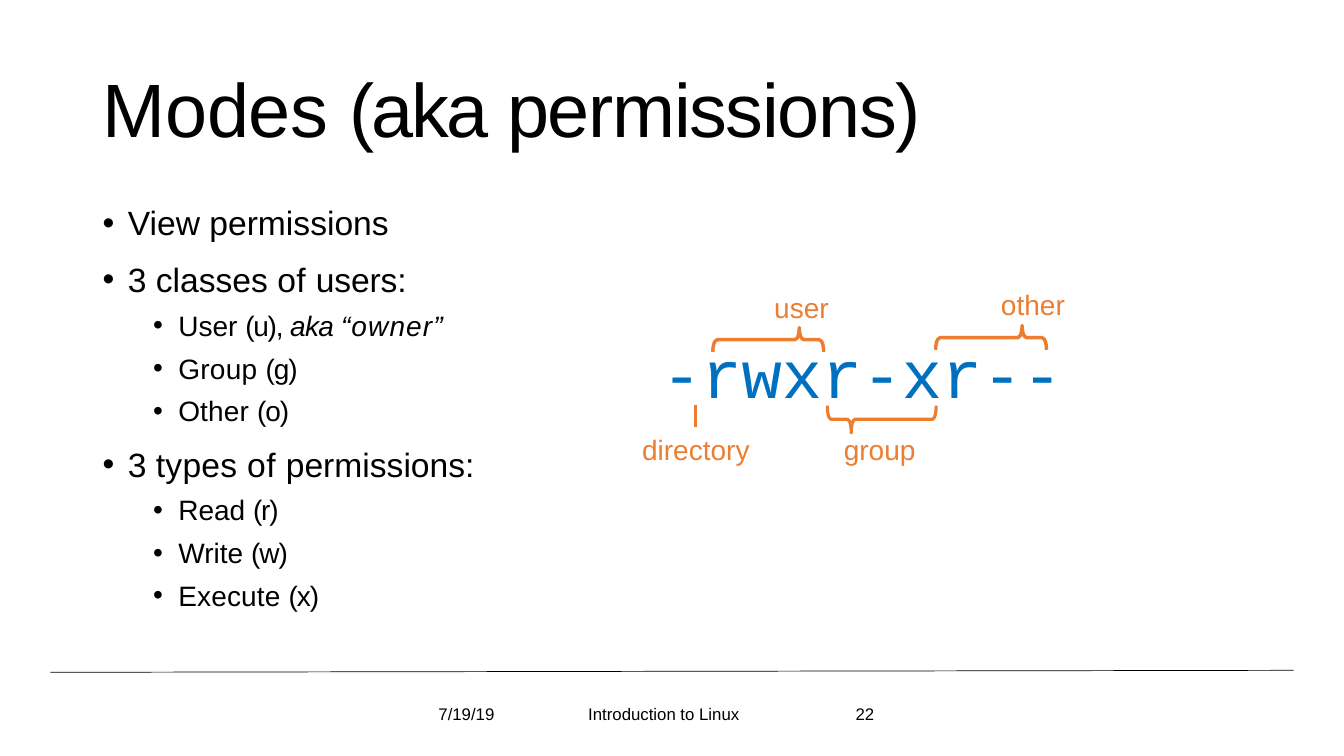
from lxml import etree
from pptx import Presentation
from pptx.dml.color import RGBColor
from pptx.enum.shapes import MSO_CONNECTOR, MSO_SHAPE
from pptx.enum.text import MSO_ANCHOR, PP_ALIGN
from pptx.oxml.ns import qn
from pptx.util import Pt

BLACK = RGBColor(0x00, 0x00, 0x00)
BLUE = RGBColor(0x00, 0x70, 0xC0)
ORANGE = RGBColor(0xED, 0x7D, 0x31)
STRAIGHT = MSO_CONNECTOR.STRAIGHT
RIGHT_BRACE = MSO_SHAPE.RIGHT_BRACE
TOP, MIDDLE = MSO_ANCHOR.TOP, MSO_ANCHOR.MIDDLE
LEFT, CENTER, RIGHT = PP_ALIGN.LEFT, PP_ALIGN.CENTER, PP_ALIGN.RIGHT

EMU_PER_PX = 9144


def px(length):
    return length * EMU_PER_PX


class SlideBuilder:
    font_name = "Arial"

    def __init__(self, slide):
        self.slide = slide

    def text_box(self, box, anchor=TOP, wrap=True):
        frame = self.slide.shapes.add_textbox(*map(px, box)).text_frame
        frame.word_wrap = wrap
        frame.vertical_anchor = anchor
        return frame

    def add_runs(self, paragraph, runs, **formats):
        for text, spacing, *italic in runs:
            run = paragraph.add_run()
            run.text = text
            values = {"name": self.font_name, "italic": bool(italic), **formats}
            color = values.pop("color", BLACK)
            for name, value in values.items():
                setattr(run.font, name, value)
            run.font.color.rgb = color
            if spacing:
                run._r.get_or_add_rPr().set("spc", str(round(spacing * 100)))

    def text(self, box, runs, align=LEFT, anchor=MIDDLE, wrap=True, line_spacing=None, **formats):
        paragraph = self.text_box(box, anchor, wrap).paragraphs[0]
        paragraph.alignment = align
        paragraph.line_spacing = line_spacing
        self.add_runs(paragraph, runs, **formats)

    def label(self, box, text):
        self.text(box, [(text, 0)], anchor=TOP, wrap=False, size=Pt(20), color=ORANGE)

    def bullets(self, box, items):
        frame = self.text_box(box)
        for index, (level, runs) in enumerate(items):
            paragraph = frame.add_paragraph() if index else frame.paragraphs[0]
            paragraph.level = level
            if index:
                paragraph.space_before = Pt(6.5 if level else 11.5)
            else:
                paragraph.line_spacing = 0.9
            properties = paragraph._p.get_or_add_pPr()
            properties.set("marL", str(px(75 if level else 25)))
            properties.set("indent", str(px(-25)))
            bullet_font = etree.SubElement(properties, qn("a:buFont"))
            bullet_font.set("typeface", self.font_name)
            etree.SubElement(properties, qn("a:buChar")).set("char", "•")
            self.add_runs(paragraph, runs, size=Pt(20 if level else 24))

    def line(self, start, end, color, width):
        connector = self.slide.shapes.add_connector(STRAIGHT, *map(px, (*start, *end)))
        connector.line.color.rgb = color
        connector.line.width = Pt(width)
        etree.SubElement(connector._element.spPr, qn("a:effectLst"))

    def brace(self, box, rotation, curve, width):
        shape = self.slide.shapes.add_shape(RIGHT_BRACE, *map(px, box))
        shape.shadow.inherit = False
        shape.fill.background()
        shape.rotation = rotation
        shape.adjustments[0] = curve
        shape.adjustments[1] = 0.78
        shape.line.color.rgb = ORANGE
        shape.line.width = Pt(width)


BULLETS = [
    (0, [("View permissions", 0)]),
    (0, [("3 classes ", 0), ("of ", 0.3), ("users:", -0.1)]),
    (1, [("User ", 0), ("(u), ", -0.9), ("aka ", -0.5, True), ("“owner”", 0.8, True)]),
    (1, [("Group ", 0.2), ("(g)", -0.8)]),
    (1, [("Other ", 0.1), ("(o)", -0.8)]),
    (0, [("3 ", 0), ("types ", 0.2), ("of ", 0.3), ("permissions:", 0)]),
    (1, [("Read ", 0), ("(r)", -0.9)]),
    (1, [("Write ", 0), ("(w)", -0.7)]),
    (1, [("Execute ", 0.1), ("(x)", -0.8)]),
]
FOOTER = [
    (425, 89, "7/19/19", LEFT),
    (515, 287, "Introduction to Linux", CENTER),
    (802, 75, "22", RIGHT),
]
BRACES = [
    ((750, 282, 24, 110), 270, 0.18, 2.5),
    ((861, 362, 27, 108), 90, 0.13, 2.25),
    ((971, 280, 24, 110), 270, 0.18, 2.5),
]
LABELS = [
    ((758, 283, 75, 44), "user"),
    ((827, 424, 92, 44), "group"),
    ((983, 280, 84, 44), "other"),
    ((627, 424, 128, 44), "directory"),
]


def main():
    presentation = Presentation()
    presentation.slide_width = px(1333)
    presentation.slide_height = px(750)
    builder = SlideBuilder(presentation.slides.add_slide(presentation.slide_layouts[6]))

    builder.line((50, 667), (1283, 665), BLACK, 0.5)
    title = [("Modes ", -0.2), ("(aka ", -1.8), ("permissions)", -1)]
    builder.text((92, 40, 1150, 145), title, line_spacing=0.9, size=Pt(54))
    builder.bullets((92, 200, 1150, 455), BULLETS)
    for left, width, text, align in FOOTER:
        builder.text((left, 688, width, 40), [(text, 0)], align, size=Pt(12))

    mode = [("-rwxr-xr--", -0.2)]
    builder.text((640, 323, 430, 91), mode, CENTER, name="Courier New", size=Pt(48), color=BLUE)
    for brace in BRACES:
        builder.brace(*brace)
    for box, text in LABELS:
        builder.label(box, text)
    builder.line((690, 424), (690, 402), ORANGE, 2.5)

    presentation.save("out.pptx")


if __name__ == "__main__":
    main()
